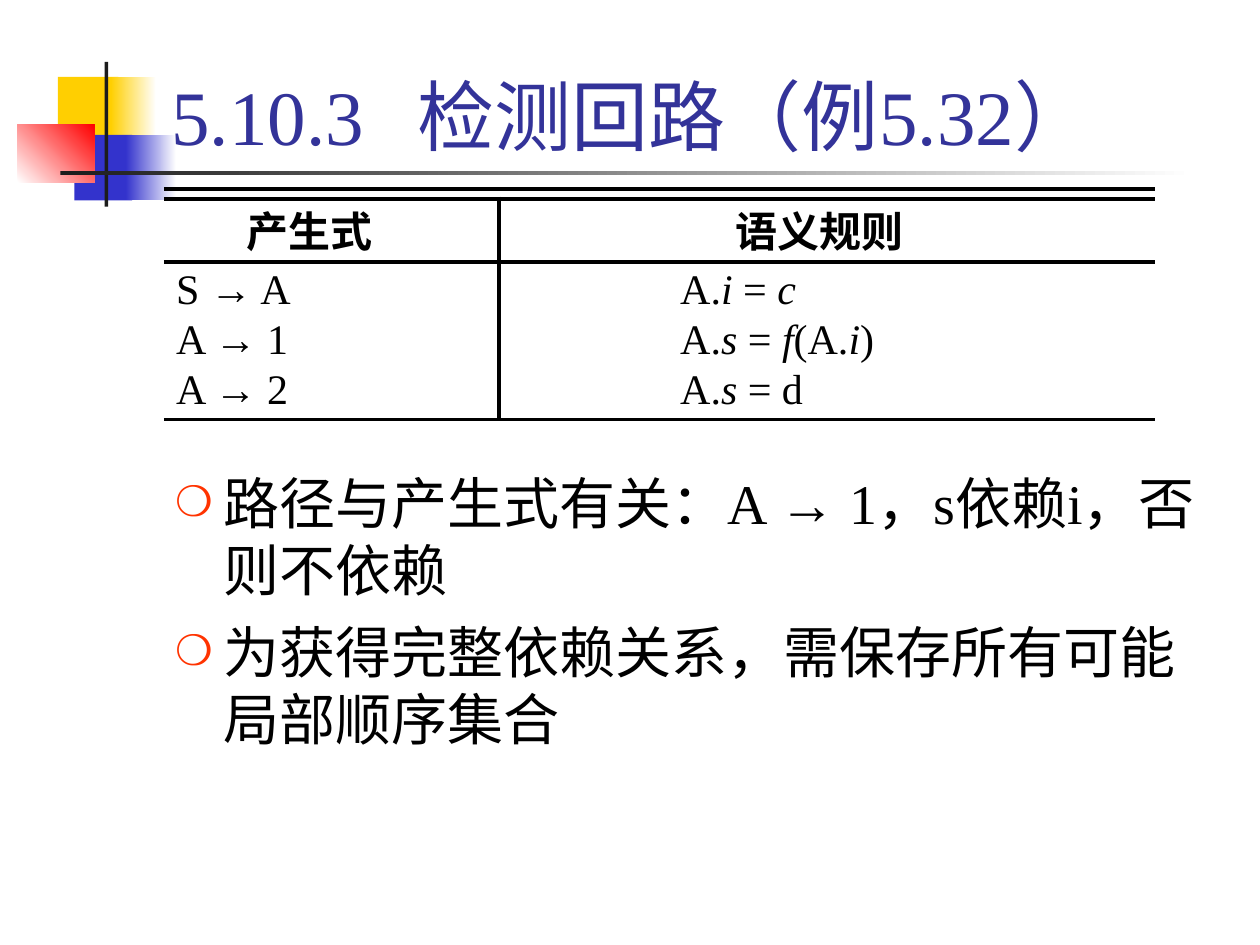
from typing import NamedTuple

import pptx
import pptx.dml.color
import pptx.enum.shapes
import pptx.enum.text
import pptx.oxml.ns
import pptx.util
from lxml import etree
from pptx.util import Inches

COLORS = {
    "yellow": "FFCF01",
    "blue": "3333CC",
    "red": "FF0000",
    "white": "FFFFFF",
    "charcoal": "1C1C1C",
    "title": "333399",
    "bullet": "FF3300",
    "black": "000000",
}
ALIGN = pptx.enum.text.PP_ALIGN
ANCHOR = pptx.enum.text.MSO_ANCHOR


class Block(NamedTuple):
    left: float
    top: float
    width: float
    height: float
    color: str
    fade_to: str = ""
    angle: float = 0


class Rule(NamedTuple):
    x1: float
    y1: float
    x2: float
    y2: float


BLOCKS = [
    Block(0.46, 0.61, 0.48, 0.52, "yellow"),
    Block(0.88, 0.61, 0.36, 0.52, "yellow", "white"),
    Block(0.59, 1.07, 0.46, 0.52, "blue"),
    Block(1, 1.07, 0.4, 0.52, "blue", "white"),
    Block(0.14, 0.99, 0.61, 0.46, "white", "red", 45),
    Block(0.83, 0.49, 0.03, 1.15, "charcoal"),
    Block(0.48, 1.36, 9, 0.03, "charcoal", "white"),
]
TABLE_RULES = [Rule(1.3, y, 9.17, y) for y in (1.5, 1.58, 2.08, 3.33)]
TABLE_RULES.append(Rule(3.96, 1.56, 3.96, 3.34))

# Text between asterisks is italic.
PRODUCTIONS = [
    "S → A\tA.*i* = *c*",
    "A → 1\tA.*s* = *f*(A.*i*)",
    "A → 2\tA.*s* = d",
]
POINTS = [
    "路径与产生式有关：A → 1，s依赖i，否则不依赖",
    "为获得完整依赖关系，需保存所有可能局部顺序集合",
]


def rgb(name: str) -> pptx.dml.color.RGBColor:
    return pptx.dml.color.RGBColor.from_string(COLORS[name])


def add_child(parent, tag: str, **attributes: str):
    return etree.SubElement(parent, pptx.oxml.ns.qn(tag), **attributes)


def draw_block(shapes, block: Block) -> None:
    shape = shapes.add_shape(
        pptx.enum.shapes.MSO_SHAPE.RECTANGLE,
        Inches(block.left), Inches(block.top), Inches(block.width), Inches(block.height),
    )
    shape.shadow.inherit = False
    shape.line.fill.background()
    if block.fade_to:
        shape.fill.gradient()
        shape.fill.gradient_angle = block.angle
        for stop, color in zip(shape.fill.gradient_stops, (block.color, block.fade_to)):
            stop.color.rgb = rgb(color)
    else:
        shape.fill.solid()
        shape.fill.fore_color.rgb = rgb(block.color)


def draw_rule(shapes, rule: Rule) -> None:
    line = shapes.add_connector(
        pptx.enum.shapes.MSO_CONNECTOR.STRAIGHT,
        Inches(rule.x1), Inches(rule.y1), Inches(rule.x2), Inches(rule.y2),
    )
    line.line.color.rgb = rgb("black")
    line.line.width = pptx.util.Pt(2)
    add_child(line.element.spPr, "a:effectLst")


def add_bullet(paragraph) -> None:
    properties = paragraph._p.get_or_add_pPr()
    properties.set("marL", str(Inches(0.38)))
    properties.set("indent", str(-Inches(0.38)))
    add_child(add_child(properties, "a:buClr"), "a:srgbClr", val=COLORS["bullet"])
    add_child(properties, "a:buSzPct", val="75000")
    add_child(properties, "a:buChar", char="❍")


def add_tab_stop(paragraph, position: float) -> None:
    tabs = add_child(paragraph._p.get_or_add_pPr(), "a:tabLst")
    add_child(tabs, "a:tab", pos=str(Inches(position)), algn="l")


def write(shape, lines: list[str], *, size: float, color: str = "black",
          bold: bool = False, align=ALIGN.LEFT, anchor=ANCHOR.TOP, gap: float = 0,
          spacing: float = 1.0, tab: float = 0, bullets: bool = False) -> None:
    """Fill a shape with one paragraph per line; arrows are set in Arial."""
    frame = shape.text_frame
    frame.word_wrap = True
    frame.auto_size = pptx.enum.text.MSO_AUTO_SIZE.NONE
    frame.vertical_anchor = anchor
    for number, line in enumerate(lines):
        paragraph = frame.add_paragraph() if number else frame.paragraphs[0]
        if bullets:
            add_bullet(paragraph)
        if tab:
            add_tab_stop(paragraph, tab)
        paragraph.alignment = align
        paragraph.line_spacing = spacing
        paragraph.space_before = pptx.util.Pt(gap if number else 0)
        for index, chunk in enumerate(line.split("*")):
            for piece in filter(None, chunk.replace("→", "|→|").split("|")):
                run = paragraph.add_run()
                run.text = piece
                run.font.name = "Arial" if piece == "→" else "Times New Roman"
                run.font.size = pptx.util.Pt(size)
                run.font.bold = bold
                run.font.italic = index % 2 == 1
                run.font.color.rgb = rgb(color)


def place(shape, left: float, top: float, width: float, height: float) -> None:
    shape.left, shape.top = Inches(left), Inches(top)
    shape.width, shape.height = Inches(width), Inches(height)


def add_text(shapes, left: float, top: float, width: float, height: float,
             lines: list[str], **text_format) -> None:
    box = shapes.add_textbox(Inches(left), Inches(top), Inches(width), Inches(height))
    write(box, lines, **text_format)


def main() -> None:
    presentation = pptx.Presentation()
    presentation.slide_width, presentation.slide_height = Inches(10), Inches(7.5)
    slide = presentation.slides.add_slide(presentation.slide_layouts[1])
    shapes = slide.shapes
    heading, points = shapes.title, slide.placeholders[1]

    for block in BLOCKS:
        draw_block(shapes, block)

    place(heading, 1.26, 0.08, 8.52, 1.25)
    write(heading, ["5.10.3\t检测回路（例5.32）"], size=44, color="title",
          anchor=ANCHOR.BOTTOM, tab=1.95)
    place(points, 1.29, 3.67, 8.5, 3)
    write(points, POINTS, size=32, gap=8, bullets=True)
    for placeholder in (heading, points):  # bring in front of the blocks
        placeholder.element.getparent().append(placeholder.element)

    for rule in TABLE_RULES:
        draw_rule(shapes, rule)
    add_text(shapes, 1.3, 2.08, 7.75, 1.25, PRODUCTIONS,
             size=24, gap=3, spacing=0.89, tab=4)
    for left, width, header in ((1.71, 1.5, "产生式"), (5.63, 1.75, "语义规则")):
        add_text(shapes, left, 1.58, width, 0.5, [header],
                 size=24, bold=True, align=ALIGN.CENTER)

    presentation.save("out.pptx")


if __name__ == "__main__":
    main()
